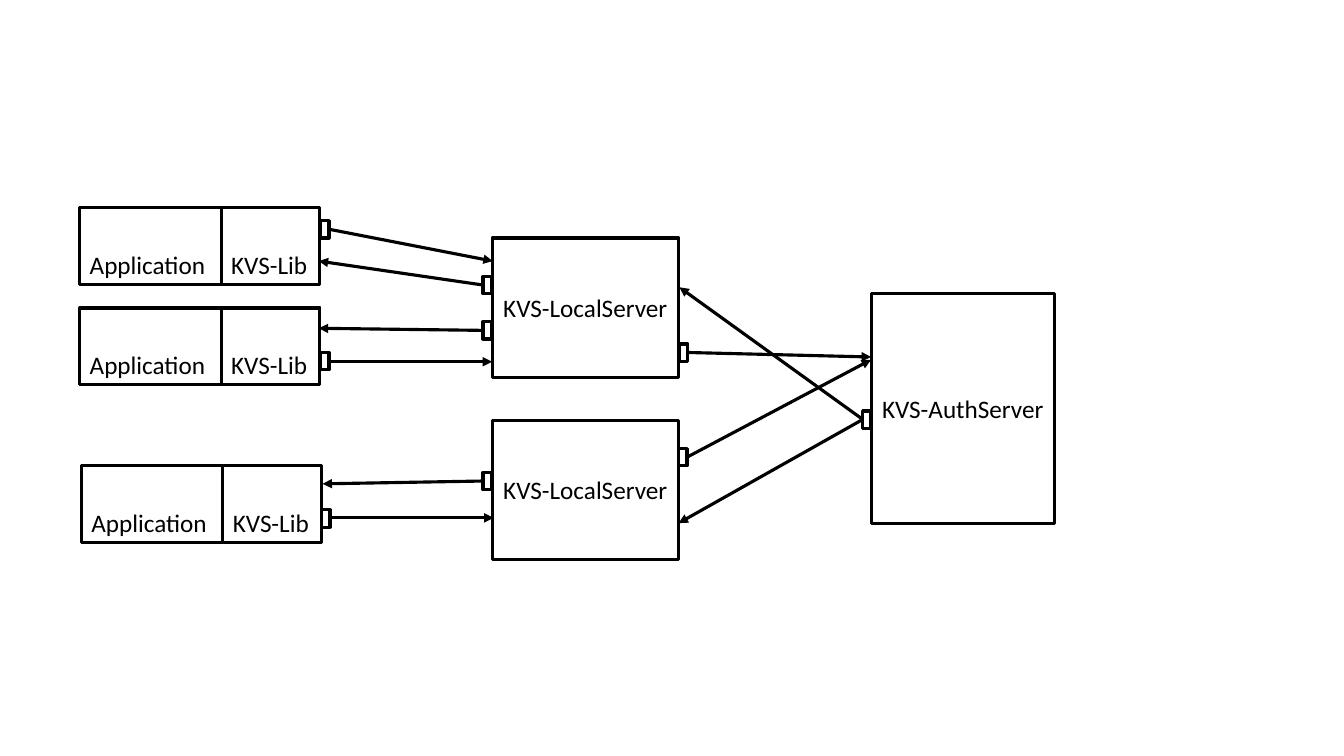
"""Draw the links between applications, local servers and the auth server of a key-value store."""
from lxml import etree
from pptx import Presentation
from pptx.dml.color import RGBColor
from pptx.enum import shapes, text
from pptx.oxml import ns
from pptx.util import Pt

BLACK = RGBColor(0, 0, 0)
APP_WIDTH, LIB_WIDTH, APP_HEIGHT = 171.5, 70.5, 54.7
LOCAL_WIDTH, LOCAL_HEIGHT = 133.2, 99.4
PORT_WIDTH, PORT_HEIGHT = 6, 12.4

deck = Presentation()
deck.slide_width, deck.slide_height = Pt(960), Pt(540)
slide = deck.slides.add_slide(deck.slide_layouts[6])


def add_box(left, top, width, height, label="", anchor="MIDDLE", align="CENTER"):
    box = slide.shapes.add_shape(shapes.MSO_SHAPE.RECTANGLE, Pt(left), Pt(top), Pt(width), Pt(height))
    box.shadow.inherit = False
    box.fill.background()
    box.line.color.rgb = BLACK
    box.line.width = Pt(2.25)
    if label:
        frame = box.text_frame
        frame.word_wrap = False
        frame.vertical_anchor = text.MSO_ANCHOR[anchor]
        paragraph = frame.paragraphs[0]
        paragraph.alignment = text.PP_ALIGN[align]
        run = paragraph.add_run()
        run.text = label
        for key, value in {"name": "Calibri", "size": Pt(18)}.items():
            setattr(run.font, key, value)
        run.font.color.rgb = BLACK


def add_arrow(start_x, start_y, end_x, end_y):
    arrow = slide.shapes.add_connector(
        shapes.MSO_CONNECTOR.STRAIGHT, Pt(start_x), Pt(start_y), Pt(end_x), Pt(end_y))
    arrow.line.color.rgb = BLACK
    arrow.line.width = Pt(2.25)
    etree.SubElement(arrow.line._get_or_add_ln(), ns.qn("a:tailEnd"), type="triangle")
    etree.SubElement(arrow._element.spPr, ns.qn("a:effectLst"))


for app_left, app_top in [(57, 148.5), (57, 220), (58.2, 332.7)]:
    add_box(app_left, app_top, APP_WIDTH, APP_HEIGHT, "Application", "BOTTOM", "LEFT")
    add_box(app_left + APP_WIDTH - LIB_WIDTH, app_top, LIB_WIDTH, APP_HEIGHT, "KVS-Lib", "BOTTOM", "LEFT")

for local_top in (170, 300.2):
    add_box(351.5, local_top, LOCAL_WIDTH, LOCAL_HEIGHT, "KVS-LocalServer")

add_box(622.2, 209.5, 131, 164.4, "KVS-AuthServer")

ports = [
    (229, 157.6), (229, 251.8), (229.8, 364.2),
    (345, 197.4), (345, 229.8), (345, 337.5),
    (485.4, 245.7), (484.8, 320.4), (616.2, 293.6),
]
for port_left, port_top in ports:
    add_box(port_left, port_top, PORT_WIDTH, PORT_HEIGHT)

requests = [
    (234.2, 163.6, 352, 186.5), (234.2, 258.4, 351.5, 258.4), (235.3, 369.9, 352.6, 369.9),
    (491.2, 251.8, 622.2, 255), (490.5, 326.7, 622.2, 257),
]
replies = [
    (345, 203.6, 227.7, 186.5), (345, 236, 227.7, 234.5), (345, 343.6, 230.4, 345.6),
    (616.3, 299.6, 485.3, 205.2), (616.3, 299.6, 484.7, 373.7),
]
for link in requests + replies:
    add_arrow(*link)

deck.save("out.pptx")
